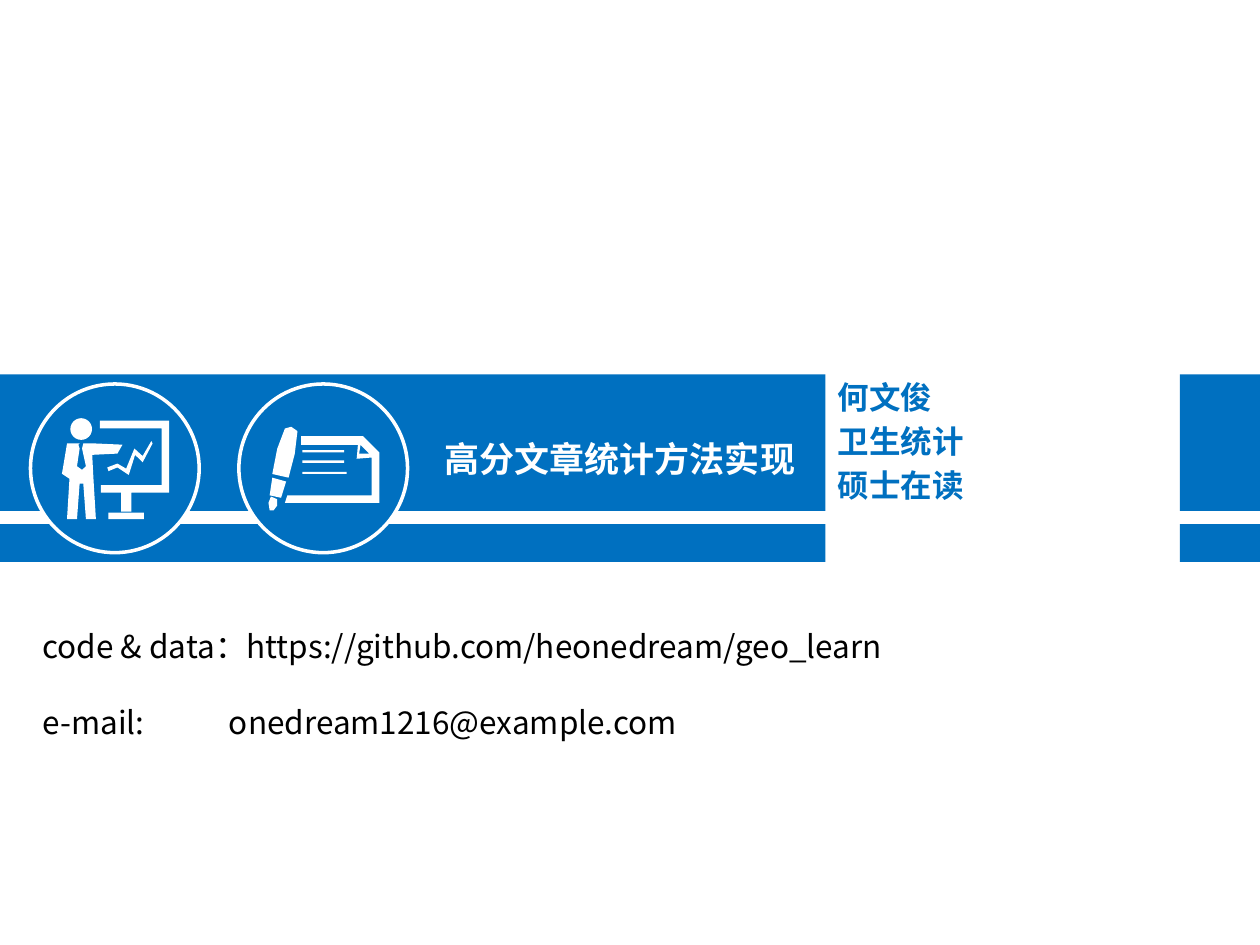
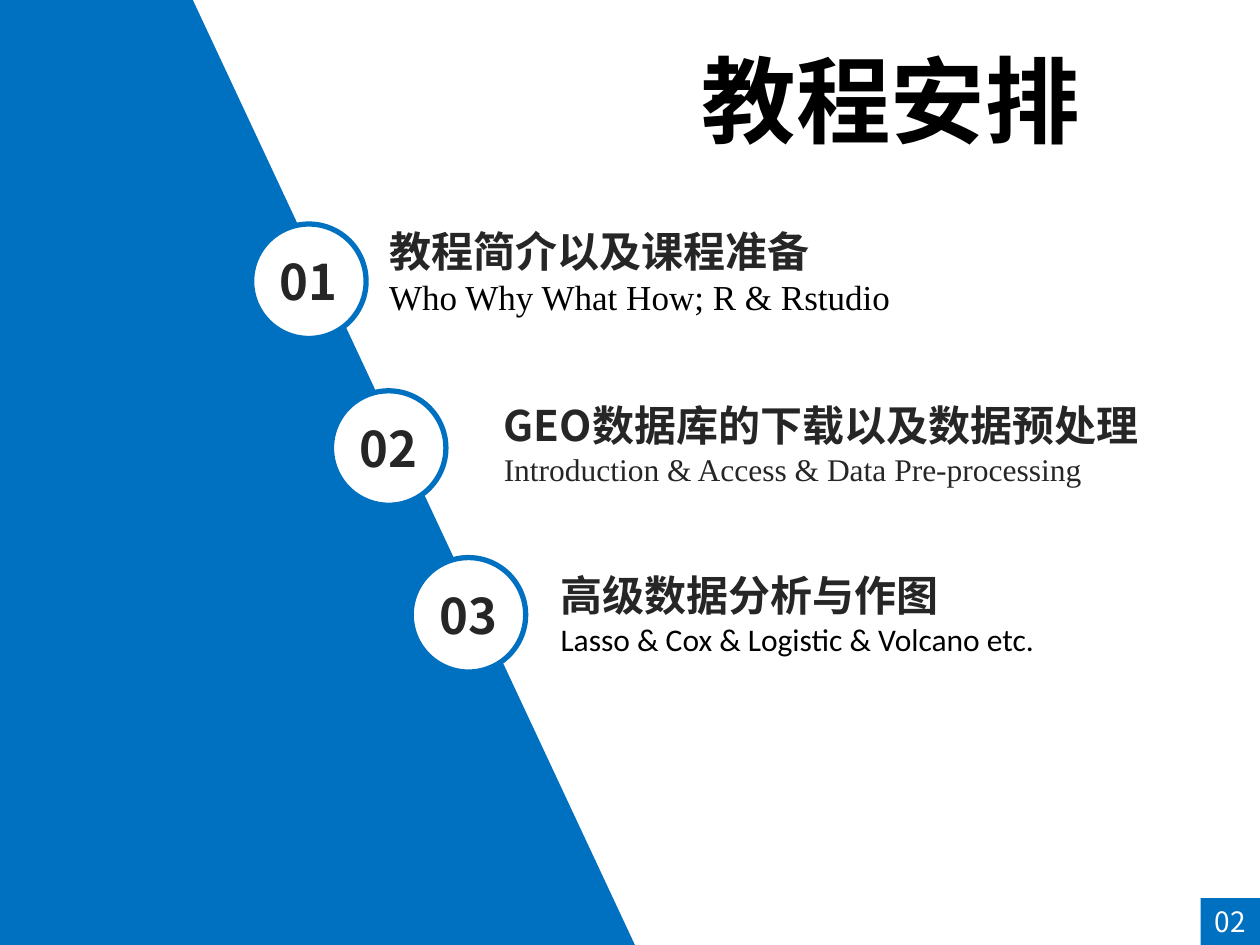
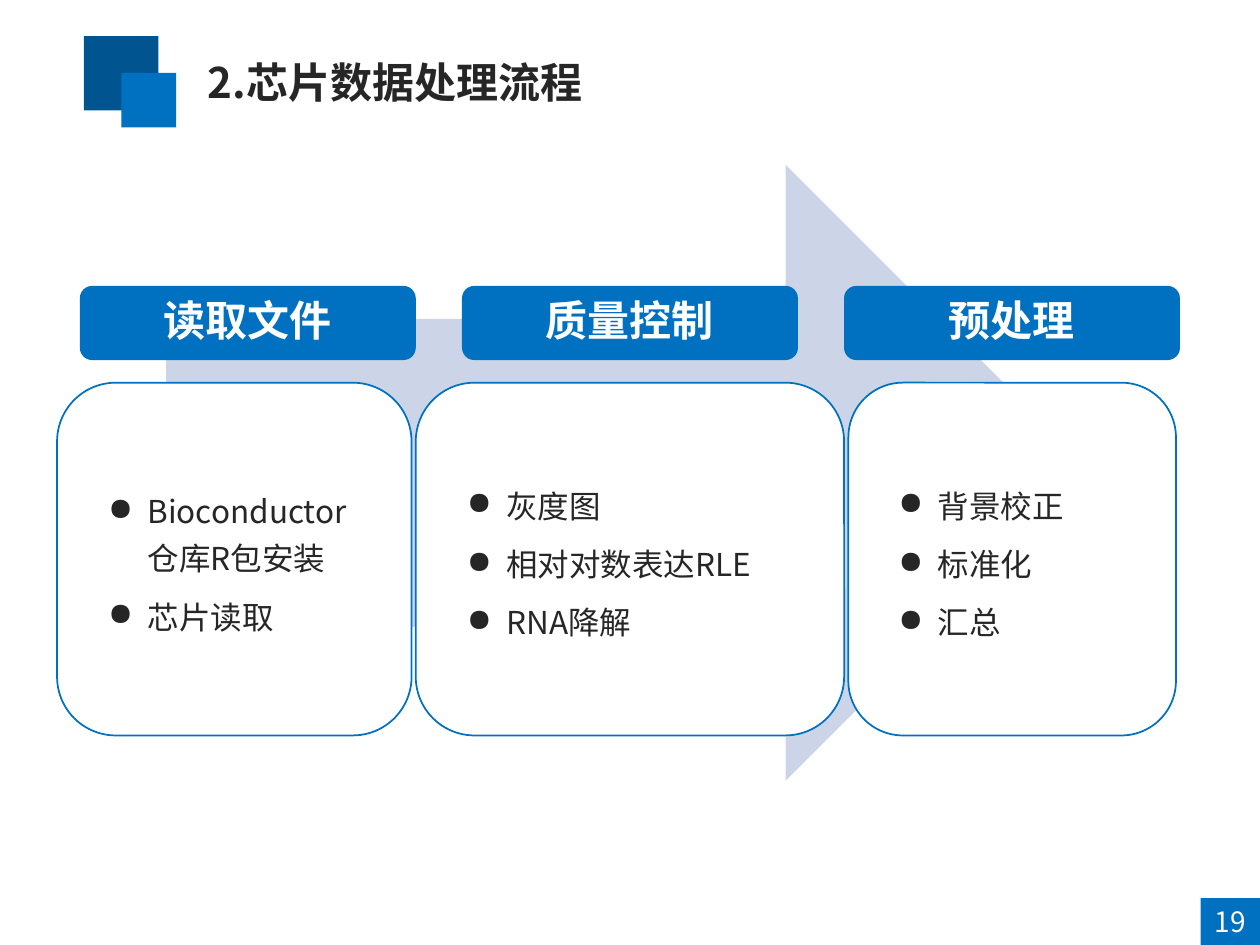
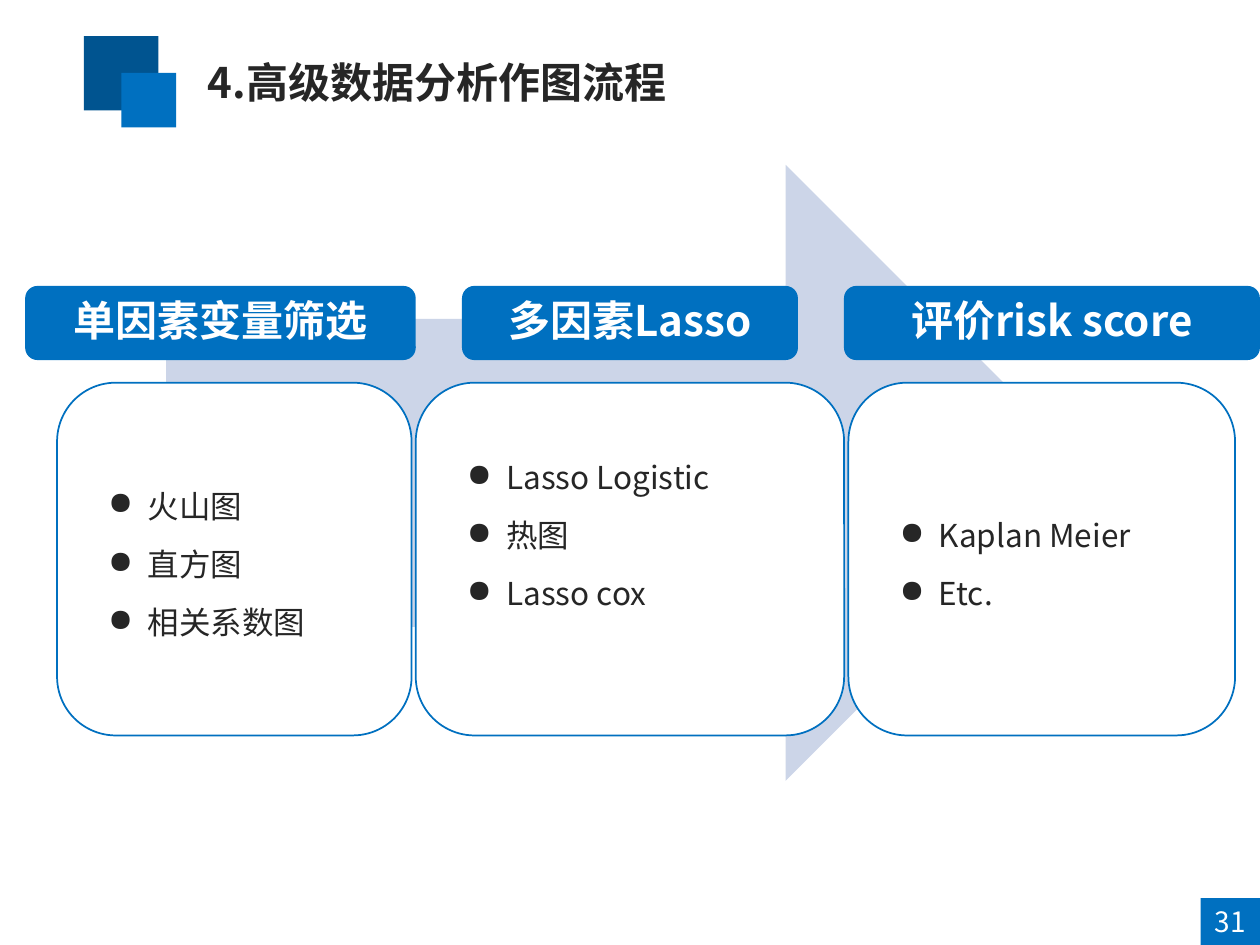
from lxml import etree
from pptx import Presentation
from pptx.dml.color import RGBColor
from pptx.enum.shapes import MSO_SHAPE
from pptx.enum.text import MSO_ANCHOR, PP_ALIGN
from pptx.oxml.ns import qn
from pptx.util import Pt

RECT, OVAL = MSO_SHAPE.RECTANGLE, MSO_SHAPE.OVAL
ROUNDED, ARROW = MSO_SHAPE.ROUNDED_RECTANGLE, MSO_SHAPE.RIGHT_ARROW
LEFT, CENTER, RIGHT = PP_ALIGN.LEFT, PP_ALIGN.CENTER, PP_ALIGN.RIGHT
TOP, MIDDLE = MSO_ANCHOR.TOP, MSO_ANCHOR.MIDDLE

COLORS = {
    "blue": "0070C0",
    "navy": "005490",
    "pale": "CCD5E8",
    "ink": "262626",
    "black": "000000",
    "white": "FFFFFF",
}
SANS, SERIF, PLAIN = "Noto Sans CJK SC", "Times New Roman", "Calibri"


def write(frame, text, size=18, color="ink", bold=False, font=SANS, align=LEFT,
          spacing=None, before=0, after=0, bullet=None, indent=0, tab=0, more=False):
    for index, line in enumerate(text.split("\n")):
        paragraph = frame.add_paragraph() if more or index else frame.paragraphs[0]
        props = paragraph._p.get_or_add_pPr()
        if bullet:
            props.set("marL", str(Pt(indent)))
            props.set("indent", str(-Pt(indent)))
            etree.SubElement(props, qn("a:buChar"), char=bullet)
        if tab:
            stops = etree.SubElement(props, qn("a:tabLst"))
            etree.SubElement(stops, qn("a:tab"), pos=str(Pt(tab)), algn="l")
        paragraph.alignment = align
        if spacing:
            paragraph.line_spacing = spacing
        if before:
            paragraph.space_before = Pt(before)
        if after:
            paragraph.space_after = Pt(after)
        run = paragraph.add_run()
        run.text = line
        run.font.name = font
        run.font.size = Pt(size)
        run.font.bold = bold
        run.font.color.rgb = RGBColor.from_string(COLORS[color])
        etree.SubElement(run._r.get_or_add_rPr(), qn("a:ea"), typeface=SANS)


def block(left, top, right, bottom):
    return [(left, top), (right, top), (right, bottom), (left, bottom)]


PRESENTER = [
    [(25.9, 28.1), (31.7, 25.9), (36.7, 28.8), (41.4, 17.3), (46.1, 21.6), (51.1, 13),
     (51.8, 14.4), (46.1, 25.2), (41.8, 20.9), (38.2, 32.4), (31.7, 28.1), (26.6, 30.2)],
    block(26.6, 54, 46.8, 57.6),
    [(39.6, 42.5), (61.2, 42.5), (61.2, 1.4), (21.6, 1.4), (21.6, 5.8), (56.9, 5.8),
     (56.9, 38.2), (22.3, 38.2), (22.3, 42.5), (33.8, 42.5), (33.8, 53.3), (39.6, 53.3)],
    [(0, 31.7), (4.3, 34.6), (2.9, 57.6), (8.6, 57.6), (10.1, 37.4), (12.2, 37.4),
     (13.7, 57.6), (19.4, 57.6), (18, 34.6), (17.3, 20.9), (31.7, 20.2), (34.6, 15.1),
     (18.7, 14.4), (12.2, 14.4), (11.5, 17.3), (13.7, 27.4), (11.5, 29.5), (8.6, 27.4),
     (10.1, 17.3), (9.4, 15.1), (10.1, 14.4), (2.9, 14.4)],
]
PEN_AND_PAGE = [
    [(9.4, 1.4), (13, 0.4), (16.6, 2.9), (15, 16), (11.5, 29.5), (2.2, 27.4), (5, 13)],
    [(10.8, 39.6), (9.4, 43.9), (63.4, 43.9), (63.4, 15.1), (54, 5.8), (18.7, 5.8),
     (18.7, 10.8), (51.1, 10.8), (50.4, 18.7), (59, 18), (59, 39.6)],
    [(57.6, 15.8), (51.8, 15.8), (52.6, 10.8)],
    block(19.4, 13.7, 43.2, 15.1),
    block(19.4, 19.6, 43.2, 21),
    block(19.4, 26.2, 44.6, 27.4),
    [(1.4, 40.3), (5, 41.8), (5, 45.4), (2.9, 48.2), (0.7, 48.2), (0, 43.9)],
    [(2.2, 29.5), (0.7, 39.6), (7.2, 41), (10.1, 31.7)],
]


class Deck:
    def __init__(self):
        self.show = Presentation()
        self.show.slide_width, self.show.slide_height = Pt(720), Pt(540)
        self.slide = None

    def new_slide(self):
        self.slide = self.show.slides.add_slide(self.show.slide_layouts[6])

    def paint(self, shape, fill, line=None, width=1):
        shape.shadow.inherit = False
        shape.fill.solid()
        shape.fill.fore_color.rgb = RGBColor.from_string(COLORS[fill])
        if line:
            shape.line.color.rgb = RGBColor.from_string(COLORS[line])
            shape.line.width = Pt(width)
        else:
            shape.line.fill.background()

    def frame(self, shape, anchor, sides, above, below):
        frame = shape.text_frame
        frame.word_wrap = True
        frame.vertical_anchor = anchor
        frame.margin_left = frame.margin_right = Pt(sides)
        frame.margin_top, frame.margin_bottom = Pt(above), Pt(below)
        return frame

    def shape(self, kind, left, top, width, height, fill, line=None, weight=1,
              text=None, sides=0, above=0, below=0, **style):
        shape = self.slide.shapes.add_shape(kind, Pt(left), Pt(top), Pt(width), Pt(height))
        self.paint(shape, fill, line, weight)
        if text:
            write(self.frame(shape, MIDDLE, sides, above, below), text, **style)

    def text(self, left, top, width, height, text, **style):
        box = self.slide.shapes.add_textbox(Pt(left), Pt(top), Pt(width), Pt(height))
        frame = self.frame(box, TOP, 7.2, 3.6, 3.6)
        write(frame, text, **style)
        return frame

    def outline(self, left, top, contours, fill):
        placed = [[(Pt(left + x), Pt(top + y)) for x, y in contour] for contour in contours]
        builder = self.slide.shapes.build_freeform(*placed[0][0], scale=1.0)
        for index, (start, *others) in enumerate(placed):
            if index:
                builder.move_to(*start)
            builder.add_line_segments(others, close=True)
        self.paint(builder.convert_to_shape(), fill)

    def page_number(self, number):
        self.shape(RECT, 686, 513.2, 34, 26.8, "blue",
                   text=number, size=16, color="white", align=CENTER)

    def heading(self, title):
        self.shape(RECT, 48, 20.6, 42.5, 42.5, "navy")
        self.shape(RECT, 69.4, 41.6, 31.2, 31.2, "blue")
        self.text(111.6, 28.8, 560, 36, title, size=24, bold=True)

    def process(self, title, number, steps):
        self.new_slide()
        self.heading(title)
        self.page_number(number)
        self.shape(ARROW, 94.9, 94.2, 530, 352, "pale")
        for step in steps:
            left, width = step["card"]
            self.shape(ROUNDED, left, 218.7, width, 201.6, "white", "blue",
                       text=step["points"], sides=19.4, above=19.4,
                       below=19.4 + step.get("lift", 0), spacing=1.25, after=6.3,
                       bullet="●", indent=22.5)
        for step in steps:
            left, width = step["tab"]
            self.shape(ROUNDED, left, 163.4, width, 42.4, "blue", text=step["name"],
                       size=24, color="white", bold=True, align=CENTER, spacing=0.9)


def cover(deck):
    deck.new_slide()
    for index, line in enumerate(["何文俊", "卫生统计", "硕士在读"]):
        deck.text(471.6, 212.4 + 25.2 * index, 202.3, 28.8, line, color="blue", bold=True)
    for left, width in [(0, 471.6), (674.3, 45.7)]:
        for top, height in [(213.9, 78.1), (299.6, 21.5)]:
            deck.shape(RECT, left, top, width, height, "blue")
    deck.text(202.3, 240.5, 259.2, 37.4, "高分文章统计方法实现", size=20, color="white",
              bold=True, align=RIGHT, spacing=1.25)
    for left in (17.4, 136.5):
        deck.shape(OVAL, left, 219.4, 96.4, 96.4, "blue", "white", 2)
    deck.shape(OVAL, 40.2, 239, 12.4, 12.4, "white")
    deck.outline(35.4, 239, PRESENTER, "white")
    deck.outline(153.4, 243.5, PEN_AND_PAGE, "white")
    contact = deck.text(17.3, 355, 551.5, 72.7,
                        "code & data：https://github.com/heonedream/geo_learn", color="black")
    write(contact, "e-mail:\tonedream1216@example.com", color="black", before=21.6,
          tab=106.5, more=True)


def agenda(deck):
    deck.new_slide()
    deck.outline(0, 0, [[(0, 0), (110.2, 0), (362.8, 540), (0, 540)]], "blue")
    chapters = [
        (215.3, 125.3, 440, "教程简介以及课程准备", "Who Why What How; R & Rstudio",
         {"size": 20, "font": SERIF, "color": "black"}),
        (280.8, 224.6, 393, "GEO数据库的下载以及数据预处理",
         "Introduction & Access & Data Pre-processing", {"font": SERIF}),
        (313.2, 321.8, 348, "高级数据分析与作图", "Lasso & Cox & Logistic & Volcano etc.",
         {"font": PLAIN, "color": "black"}),
    ]
    for index, (left, top, width, name, topics, style) in enumerate(chapters):
        deck.shape(OVAL, 143.8 + 45.6 * index, 128 + 95.3 * index, 65.4, 65.4, "white",
                   "blue", 3, text=f"{index + 1:02}", size=28, bold=True, align=CENTER)
        chapter = deck.text(left, top, width, 60, name, size=24, bold=True)
        write(chapter, topics, more=True, **style)
    deck.text(343.4, 20.2, 331.2, 72.7, "教程安排", size=54, color="black", bold=True,
              font=SERIF, align=CENTER)
    deck.page_number("02")


def main():
    deck = Deck()
    cover(deck)
    agenda(deck)
    first_card, second_card = (32.6, 202.6), (237.6, 244.8)
    second_tab = (264, 192)
    deck.process("2.芯片数据处理流程", "19", [
        {"name": "读取文件", "tab": (45.6, 192), "card": first_card,
         "points": "Bioconductor仓库R包安装\n芯片读取"},
        {"name": "质量控制", "tab": second_tab, "card": second_card,
         "points": "灰度图\n相对对数表达RLE\nRNA降解"},
        {"name": "预处理", "tab": (482.3, 192), "card": (484.8, 187.2),
         "points": "背景校正\n标准化\n汇总"},
    ])
    deck.process("4.高级数据分析作图流程", "31", [
        {"name": "单因素变量筛选", "tab": (14.4, 223.2), "card": first_card,
         "points": "火山图\n直方图\n相关系数图"},
        {"name": "多因素Lasso", "tab": second_tab, "card": second_card,
         "points": "Lasso Logistic\n热图\nLasso cox", "lift": 33},
        {"name": "评价risk score", "tab": (482.3, 237.7), "card": (484.8, 221),
         "points": "Kaplan Meier\nEtc."},
    ])
    deck.show.save("out.pptx")


if __name__ == "__main__":
    main()
